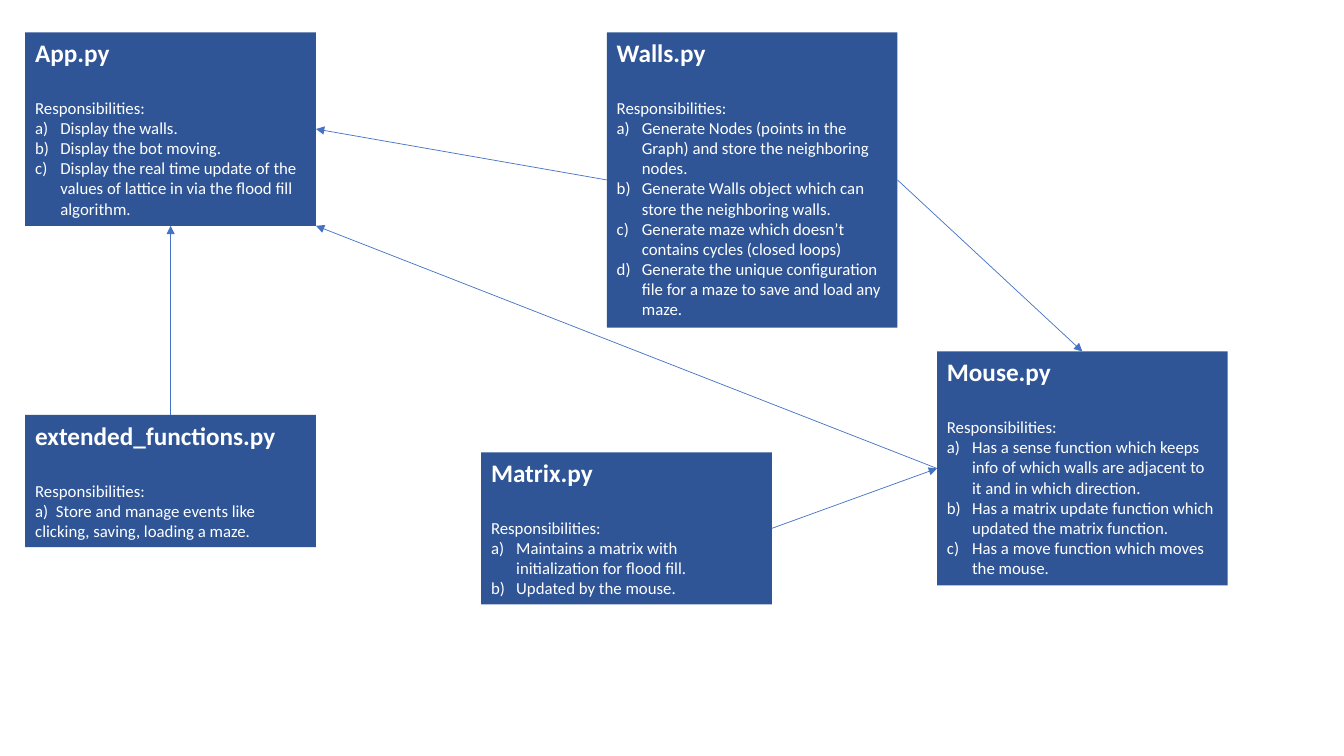
import dataclasses

import lxml.etree
import pptx
import pptx.dml.color
import pptx.enum.shapes
import pptx.enum.text
import pptx.oxml.ns
import pptx.util


@dataclasses.dataclass(frozen=True)
class Theme:
    font: str = "Calibri"
    box_fill: str = "2F5597"
    text: str = "FFFFFF"
    arrow: str = "4472C4"
    heading_size: float = 18
    body_size: float = 12
    heading_gap: float = 21.5
    arrow_width: float = 0.5


THEME = Theme()
SLIDE_WIDTH = pptx.util.Inches(13.33)
SLIDE_HEIGHT = pptx.util.Inches(7.5)
BOX_WIDTH = 21.63
LIST_INDENT = pptx.util.Inches(0.25)
TOP, LEFT, BOTTOM, RIGHT = range(4)

MODULES = {
    "App.py": (1.88, 4.27, 25.6, [
        "Display the walls.",
        "Display the bot moving.",
        "Display the real time update of the values of lattice in via the flood fill algorithm.",
    ]),
    "Walls.py": (45.15, 4.27, 39.07, [
        "Generate Nodes (points in the Graph) and store the neighboring nodes.",
        "Generate Walls object which can store the neighboring walls.",
        "Generate maze which doesn’t contains cycles (closed loops)",
        "Generate the unique configuration file for a maze to save and load any maze.",
    ]),
    "extended_functions.py": (1.88, 54.9, 17.47, [
        "a)  Store and manage events like clicking, saving, loading a maze.",
    ]),
    "Mouse.py": (69.72, 46.5, 30.93, [
        "Has a sense function which keeps info of which walls are adjacent to it and in which direction.",
        "Has a matrix update function which updated the matrix function.",
        "Has a move function which moves the mouse.",
    ]),
    "Matrix.py": (35.8, 59.83, 20.13, [
        "Maintains a matrix with initialization for flood fill.",
        "Updated by the mouse.",
    ]),
}

SIDE_ARROWS = [
    ("Walls.py", LEFT, "App.py", RIGHT),
    ("extended_functions.py", TOP, "App.py", BOTTOM),
    ("Matrix.py", RIGHT, "Mouse.py", LEFT),
    ("Walls.py", RIGHT, "Mouse.py", TOP),
]


def across(percent):
    return round(SLIDE_WIDTH * percent / 100)


def down(percent):
    return round(SLIDE_HEIGHT * percent / 100)


def color(value):
    return pptx.dml.color.RGBColor.from_string(value)


def add_child(parent, tag, **attributes):
    return lxml.etree.SubElement(parent, pptx.oxml.ns.qn(tag), attributes)


def write(para, text, size=THEME.body_size, bold=False, space_before=0, lettered=False):
    para.alignment = pptx.enum.text.PP_ALIGN.LEFT
    para.space_before = pptx.util.Pt(space_before)
    span = para.add_run()
    span.text = text
    span.font.name = THEME.font
    span.font.size = pptx.util.Pt(size)
    span.font.bold = bold
    span.font.color.rgb = color(THEME.text)
    if lettered:
        properties = para._p.get_or_add_pPr()
        properties.set("marL", str(LIST_INDENT))
        properties.set("indent", str(-LIST_INDENT))
        add_child(properties, "a:buFont", typeface="+mj-lt")
        add_child(properties, "a:buAutoNum", type="alphaLcParenR")


def add_module(page, name, left, top, height, duties):
    box = page.shapes.add_shape(
        pptx.enum.shapes.MSO_SHAPE.RECTANGLE,
        across(left), down(top), across(BOX_WIDTH), down(height))
    box.shadow.inherit = False
    box.fill.solid()
    box.fill.fore_color.rgb = color(THEME.box_fill)
    box.line.fill.background()
    frame = box.text_frame
    frame.word_wrap = True
    frame.auto_size = pptx.enum.text.MSO_AUTO_SIZE.SHAPE_TO_FIT_TEXT
    frame.vertical_anchor = pptx.enum.text.MSO_ANCHOR.TOP
    write(frame.paragraphs[0], name, size=THEME.heading_size, bold=True)
    write(frame.add_paragraph(), "Responsibilities:", space_before=THEME.heading_gap)
    for duty in duties:
        write(frame.add_paragraph(), duty, lettered=len(duties) > 1)
    return box


def add_arrow(page, source, source_side, target, target_side=None):
    corner = target.left + target.width, target.top + target.height
    arrow = page.shapes.add_connector(
        pptx.enum.shapes.MSO_CONNECTOR.STRAIGHT, source.left, source.top, *corner)
    arrow.begin_connect(source, source_side)
    if target_side is not None:
        arrow.end_connect(target, target_side)
    arrow.line.color.rgb = color(THEME.arrow)
    arrow.line.width = pptx.util.Pt(THEME.arrow_width)
    properties = arrow.element.spPr
    add_child(properties.find(pptx.oxml.ns.qn("a:ln")), "a:tailEnd", type="triangle")
    add_child(properties, "a:effectLst")


def main():
    deck = pptx.Presentation()
    deck.slide_width, deck.slide_height = SLIDE_WIDTH, SLIDE_HEIGHT
    page = deck.slides.add_slide(deck.slide_layouts[6])
    boxes = {name: add_module(page, name, *details) for name, details in MODULES.items()}
    for source, source_side, target, target_side in SIDE_ARROWS:
        add_arrow(page, boxes[source], source_side, boxes[target], target_side)
    add_arrow(page, boxes["Mouse.py"], LEFT, boxes["App.py"])
    deck.save("out.pptx")


if __name__ == "__main__":
    main()
